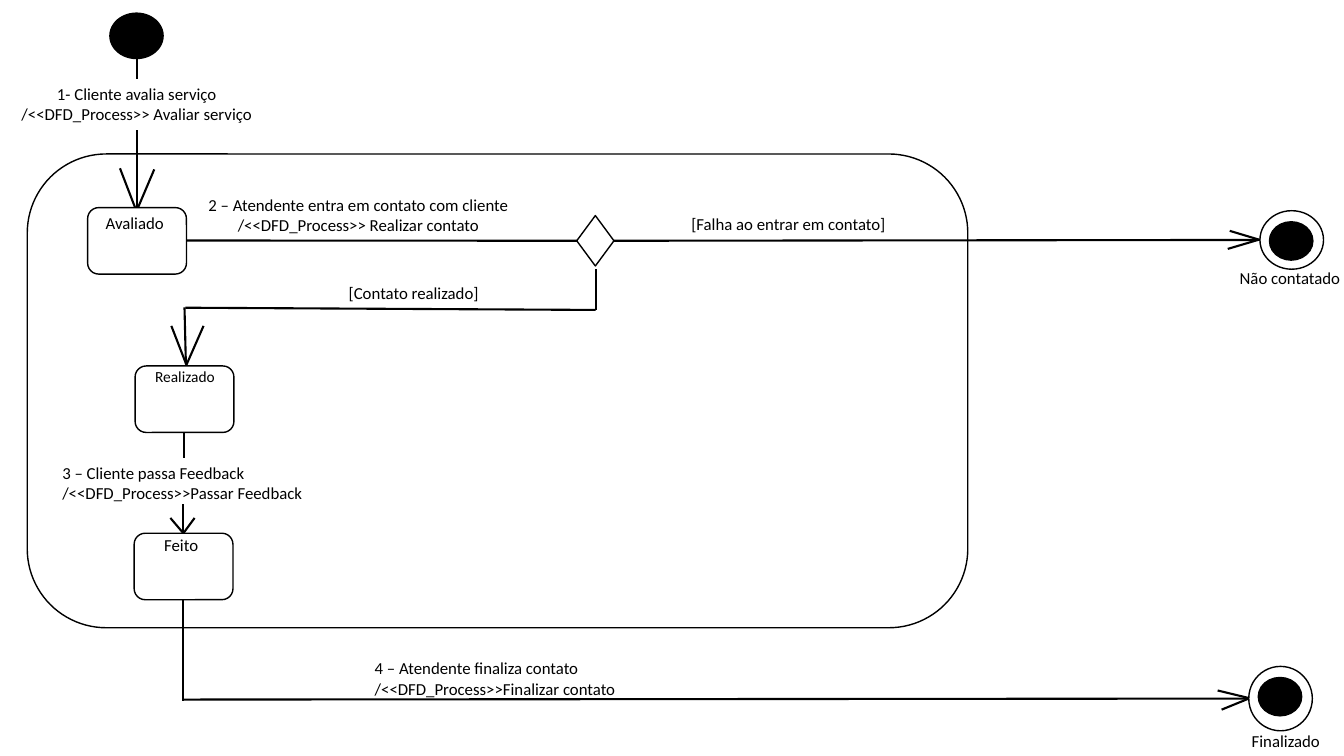
import pptx
import pptx.util
import pptx.dml.color
import pptx.enum.shapes
import pptx.enum.text
import lxml.etree

Pt = pptx.util.Pt
SHAPE = pptx.enum.shapes.MSO_SHAPE
ALIGN = pptx.enum.text.PP_ALIGN
COLORS = {"ink": "000000", "paper": "FFFFFF"}
ink = pptx.dml.color.RGBColor.from_string(COLORS["ink"])

deck = pptx.Presentation()
deck.slide_width, deck.slide_height = Pt(960), Pt(540)
diagram = deck.slides.add_slide(deck.slide_layouts[6])


def add_label(text, left, top, width, height=21.8, size=12, align=ALIGN.LEFT, wrap=True):
    label = diagram.shapes.add_textbox(Pt(left), Pt(top), Pt(width), Pt(height))
    frame = label.text_frame
    frame.word_wrap = wrap
    frame.auto_size = pptx.enum.text.MSO_AUTO_SIZE.SHAPE_TO_FIT_TEXT
    frame.text = text
    for paragraph in frame.paragraphs:
        paragraph.alignment = align
        for run in paragraph.runs:
            run.font.name = "Calibri"
            run.font.size = Pt(size)
            run.font.color.rgb = ink


def add_node(kind, left, top, width, height, fill="paper"):
    node = diagram.shapes.add_shape(kind, Pt(left), Pt(top), Pt(width), Pt(height))
    node.shadow.inherit = False
    node.fill.solid()
    node.fill.fore_color.rgb = pptx.dml.color.RGBColor.from_string(COLORS[fill])
    node.line.color.rgb = ink
    node.line.width = Pt(1)


add_node(SHAPE.ROUNDED_RECTANGLE, 19.5, 110, 671.8, 338.4)
add_node(SHAPE.OVAL, 78.5, 9.4, 38, 32.4, fill="ink")
add_node(SHAPE.DIAMOND, 412, 154, 26.6, 36)

for state_left, state_top in [(62.6, 148.3), (96.5, 261.4), (95.8, 380.9)]:
    add_node(SHAPE.ROUNDED_RECTANGLE, state_left, state_top, 70.6, 47.5)

for end_left, end_top, end_height in [(900, 150.5, 41.8), (892, 476, 46)]:
    add_node(SHAPE.OVAL, end_left, end_top, 45.4, end_height)
    add_node(SHAPE.OVAL, end_left + 6.8, end_top + 7.9, 31, 27.4, fill="ink")

transitions = {
    "start to Avaliado": [(98, 41.8, 98, 56.2), (98, 92.9, 98, 148.3)],
    "Avaliado arrowhead": [(96.5, 148.3, 85.7, 120.2), (98.6, 148.3, 110.2, 121)],
    "Avaliado to decision": [(412, 172, 133.2, 171.8)],
    "decision to Não contatado": [(900, 171.4, 438.5, 172)],
    "Não contatado arrowhead": [(877, 177.8, 898.6, 171.4), (878.4, 164.9, 900, 171.4)],
    "decision to Realizado": [(425.5, 192.2, 425.5, 221.8), (425.5, 221.4, 132.5, 219.8),
                              (131.8, 219.6, 132.8, 260)],
    "Realizado arrowhead": [(133.2, 260.6, 145.4, 232.8), (133.2, 260.6, 122.4, 232.8)],
    "Realizado to Feito": [(131.5, 309, 131.5, 327), (131, 360, 131, 380.9)],
    "Feito arrowhead": [(131, 380.9, 121.7, 370), (131, 380.9, 139, 370)],
    "Feito to Finalizado": [(131, 428.4, 131, 500.4), (892, 499, 131, 499.7)],
    "Finalizado arrowhead": [(892, 498.6, 869.8, 493.2), (892, 499, 872.6, 506.9)],
}
for strokes in transitions.values():
    for stroke in strokes:
        line = diagram.shapes.add_connector(
            pptx.enum.shapes.MSO_CONNECTOR.STRAIGHT, *[Pt(value) for value in stroke])
        line.line.color.rgb = ink
        line.line.width = Pt(1.5)
        lxml.etree.SubElement(line.element.spPr, pptx.oxml.ns.qn("a:effectLst"))

add_label("1- Cliente avalia serviço\n/<<DFD_Process>> Avaliar serviço",
          7, 56.2, 181.4, height=36, align=ALIGN.CENTER, wrap=False)
add_label("2 – Atendente entra em contato com cliente\n/<<DFD_Process>> Realizar contato",
          135.4, 135.4, 241.2, height=36, align=ALIGN.CENTER)
add_label("3 – Cliente passa Feedback\n/<<DFD_Process>>Passar Feedback",
          37.4, 327, 188.6, height=36, wrap=False)
add_label("4 – Atendente finaliza contato\n/<<DFD_Process>>Finalizar contato",
          260.6, 466.6, 240.5, height=36)
add_label("[Falha ao entrar em contato]", 486.7, 149, 164.2)
add_label("[Contato realizado]", 242, 198.7, 131.8)
add_label("Avaliado", 68.4, 148.5, 64.8)
add_label("Realizado", 103.7, 258.5, 71.3, height=20.6, size=11)
add_label("Feito", 110.2, 378.7, 82)
add_label("Não contatado", 878.4, 187.4, 87.8)
add_label("Finalizado", 887, 518.4, 85.7)

deck.save("out.pptx")
